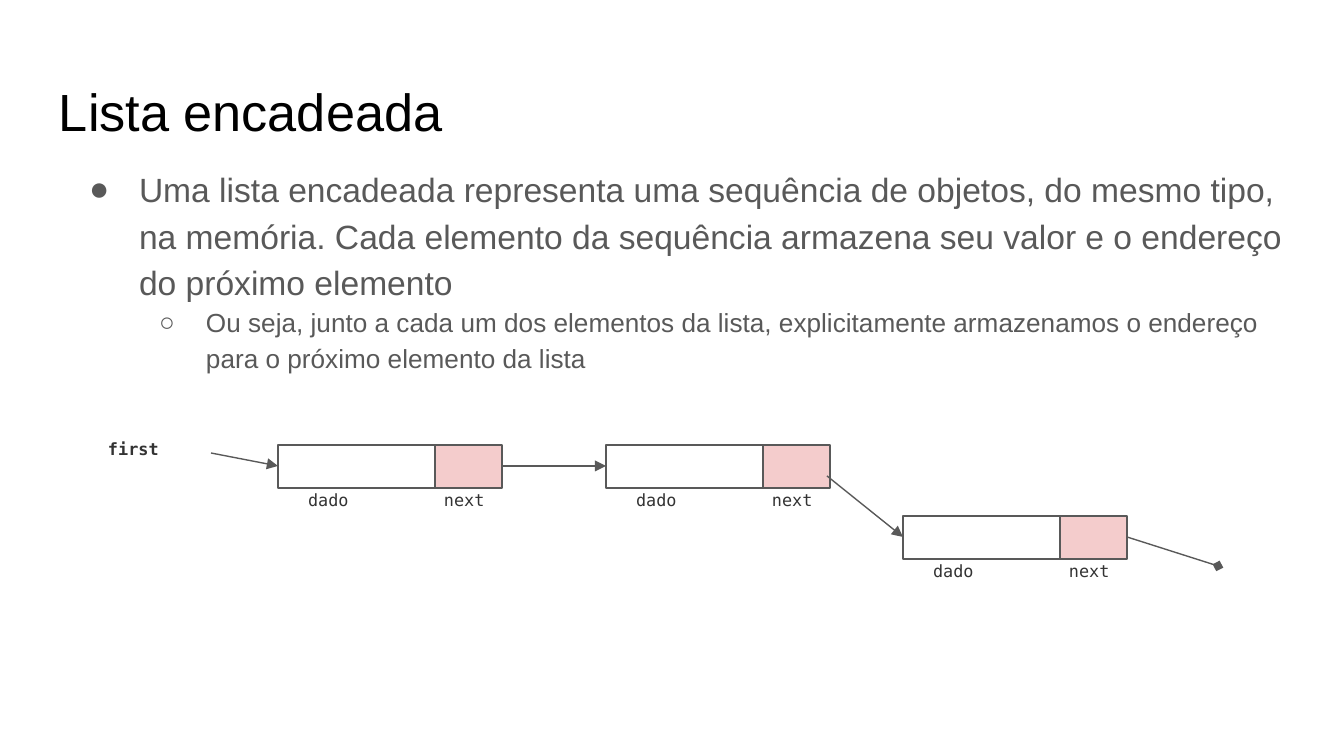
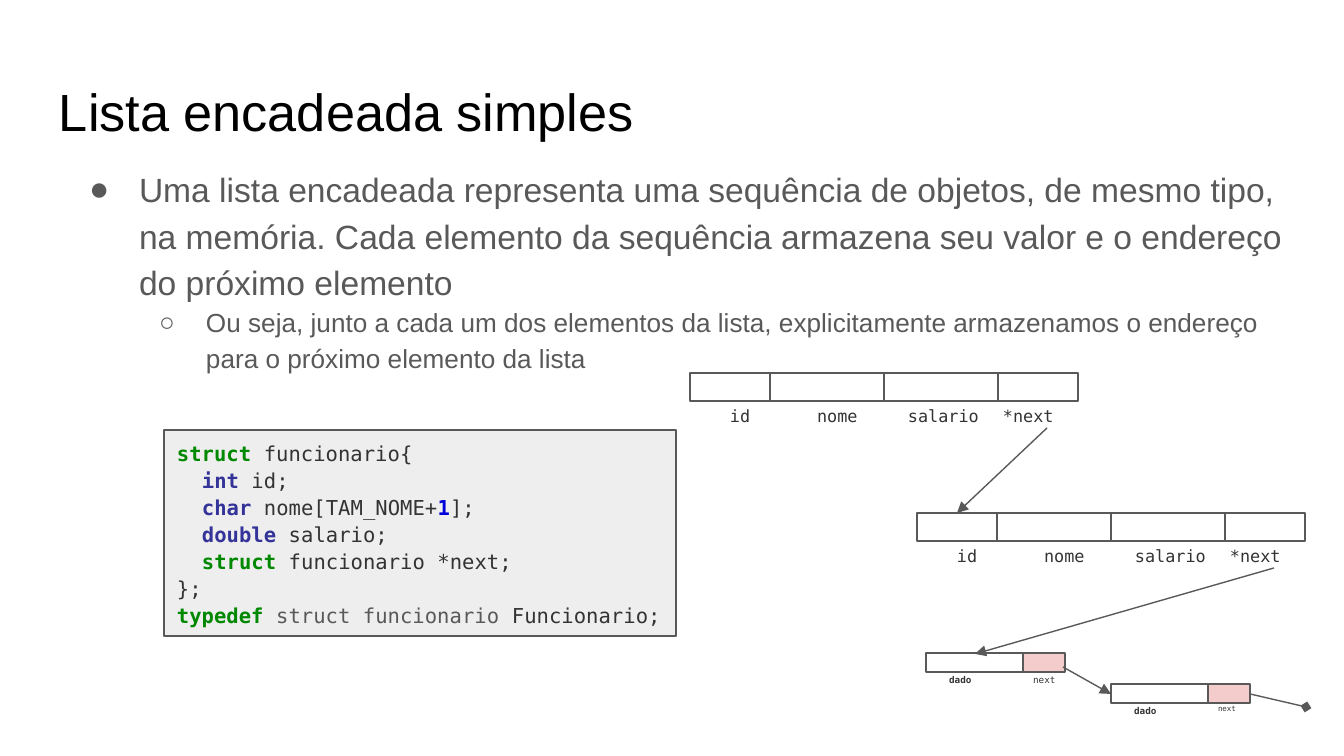
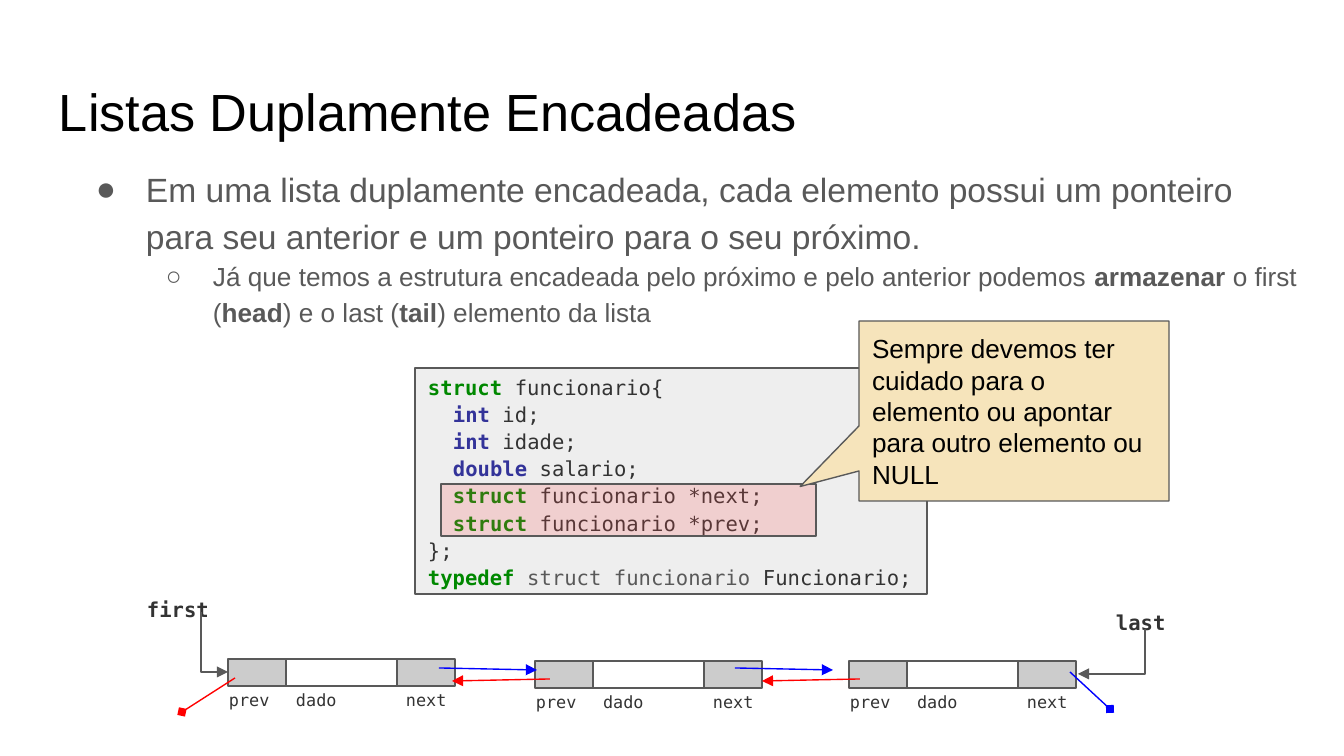
from lxml import etree
from pptx import Presentation
from pptx.dml.color import RGBColor
from pptx.enum.shapes import MSO_CONNECTOR, MSO_SHAPE
from pptx.enum.text import MSO_ANCHOR, MSO_AUTO_SIZE, PP_ALIGN
from pptx.oxml.ns import qn
from pptx.util import Pt

STRAIGHT, ELBOW = MSO_CONNECTOR.STRAIGHT, MSO_CONNECTOR.ELBOW
RECTANGLE, CALLOUT = MSO_SHAPE.RECTANGLE, MSO_SHAPE.RECTANGULAR_CALLOUT
TOP, MIDDLE = MSO_ANCHOR.TOP, MSO_ANCHOR.MIDDLE
LEFT, NO_FIT = PP_ALIGN.LEFT, MSO_AUTO_SIZE.NONE

# Shared look: lengths are pixels, 134.4 to the inch
SCALE = 914400 / 134.4
INSET = 13
SANS, MONO = "Arial", "DejaVu Sans Mono"
BLACK, GRAY, DARK = "000000", "595959", "333333"
PINK, SILVER, PALE, SAND = "F4CCCC", "CCCCCC", "EEEEEE", "F6E4BB"
BLUE, RED, ROSE = "0000FF", "FF0000", "FC4B4B"
color = RGBColor.from_string

# Text styles: colour and bold
PLAIN, STRONG, FADED = (DARK, False), (DARK, True), (GRAY, False)
KEYWORD, TYPE, NUMBER = ("008800", True), ("333399", True), ("0000DD", True)


def add_box(shapes, frame, lines=(), size=9, font=MONO, fill=None,
            outlined=False, preset=RECTANGLE, spacing=1.0):
    """Add a text box, or an outlined shape; a line is (indent, spans)."""
    frame = [round(length * SCALE) for length in frame]
    if outlined:
        box = shapes.add_shape(preset, *frame)
        box.shadow.inherit = False
        box.line.color.rgb = color(GRAY)
        box.line.width = Pt(0.75)
        if fill:
            box.fill.solid()
            box.fill.fore_color.rgb = color(fill)
        else:
            box.fill.background()
    else:
        box = shapes.add_textbox(*frame)
    text = box.text_frame
    text.word_wrap = True
    text.vertical_anchor = MIDDLE if outlined else TOP
    text.margin_left = text.margin_right = round(INSET * SCALE)
    text.margin_top = text.margin_bottom = round(INSET * SCALE)
    for number, (indent, spans) in enumerate(lines):
        para = text.add_paragraph() if number else text.paragraphs[0]
        para.alignment = LEFT
        para.line_spacing = spacing
        para.font.name, para.font.size = font, Pt(size)
        para._p.get_or_add_pPr().set("marL", str(round(indent * SCALE)))
        for words, (tint, bold) in spans:
            span = para.add_run()
            span.text = words
            span.font.color.rgb = color(tint)
            span.font.bold = bold
    return box


def add_arrow(page, start, end, tip="triangle", tint=GRAY, kind=STRAIGHT):
    """Add a line with a tip at its end; an elbow turns at its start."""
    points = [round(length * SCALE) for length in (*start, *end)]
    arrow = page.shapes.add_connector(kind, *points)
    arrow.line.color.rgb = color(tint)
    arrow.line.width = Pt(0.75)
    properties = arrow.element.spPr
    etree.SubElement(properties.find(qn("a:ln")), qn("a:tailEnd"), type=tip)
    etree.SubElement(properties, qn("a:effectLst"))
    if kind == ELBOW:
        guides = properties.find(qn("a:prstGeom")).get_or_add_avLst()
        etree.SubElement(guides, qn("a:gd"), name="adj1", fmla="val 0")


deck = Presentation()
deck.slide_width, deck.slide_height = round(1344 * SCALE), round(756 * SCALE)

# Titles and lists; *stars* mark bold words
SEQUENCE = ("Uma lista encadeada representa uma sequência de objetos, {} mesmo "
            "tipo, na memória. Cada elemento da sequência armazena seu valor e "
            "o endereço do próximo elemento")
ADDRESS = ("Ou seja, junto a cada um dos elementos da lista, explicitamente "
           "armazenamos o endereço para o próximo elemento da lista")
contents = [
    ("Lista encadeada", 59, [SEQUENCE.format("do"), ADDRESS]),
    ("Lista encadeada simples", 59, [SEQUENCE.format("de"), ADDRESS]),
    ("Listas Duplamente Encadeadas", 66, [
        "Em uma lista duplamente encadeada, cada elemento possui um ponteiro "
        "para seu anterior e um ponteiro para o seu próximo.",
        "Já que temos a estrutura encadeada pelo próximo e pelo anterior "
        "podemos *armazenar* o first (*head*) e o last (*tail*) elemento da "
        "lista"]),
]
# Size, left margin, hanging indent and bullet of each list level
levels = [(18, 67, 50, "●"), (14, 134, 47, "○")]

pages = []
for heading, body_left, items in contents:
    page = deck.slides.add_slide(deck.slide_layouts[1])
    pages.append(page)
    title, body = page.shapes.title, page.placeholders[1]
    for holder, frame in ((title, (46, 66, 1253, 84)),
                          (body, (body_left, 150, 1253, 502))):
        holder.left, holder.top, holder.width, holder.height = [
            round(length * SCALE) for length in frame]
        text = holder.text_frame
        text.auto_size = NO_FIT
        text.word_wrap = True
        text.vertical_anchor = TOP
        text.margin_left = text.margin_right = round(INSET * SCALE)
        text.margin_top = text.margin_bottom = round(INSET * SCALE)

    title.text_frame.text = heading
    para = title.text_frame.paragraphs[0]
    para.alignment = LEFT
    para.font.name, para.font.size = SANS, Pt(28)
    para.font.color.rgb = color(BLACK)

    for level, (item, style) in enumerate(zip(items, levels)):
        size, margin, hanging, bullet = style
        text = body.text_frame
        para = text.add_paragraph() if level else text.paragraphs[0]
        para.level = level
        para.line_spacing = 1.15
        para.space_before = Pt(0)
        properties = para._p.get_or_add_pPr()
        properties.set("marL", str(round(margin * SCALE)))
        properties.set("indent", str(round(-hanging * SCALE)))
        tint = etree.SubElement(properties, qn("a:buClr"))
        etree.SubElement(tint, qn("a:srgbClr"), val=GRAY)
        etree.SubElement(properties, qn("a:buChar"), char=bullet)
        para.font.name, para.font.size = SANS, Pt(size)
        para.font.color.rgb = color(GRAY)
        for number, words in enumerate(item.split("*")):
            span = para.add_run()
            span.text = words
            if number % 2:
                span.font.bold = True

single_page, record_page, double_page = pages

# Kinds of node: height, label drop, cells (width, fill),
# labels (text, offset, width, size, style)
SINGLE = (43, 35, [(157, None), (67, PINK)],
          [("dado", 17, 117, 9, PLAIN), ("next", 153, 80, 9, PLAIN)])
RECORD = (28, 23, [(80, None), (114, None), (114, None), (80, None)],
          [("id", 27, 48, 9, PLAIN), ("nome", 114, 74, 9, PLAIN),
           ("salario", 205, 102, 9, PLAIN), ("*next", 300, 113, 9, PLAIN)])
SMALL = (19, 16, [(97, None), (42, PINK)],
         [("dado", 10, 72, 5, STRONG), ("next", 94, 50, 5, PLAIN)])
SMALL_LAST = (*SMALL[:3], [SMALL[3][0], ("next", 94, 50, 4, PLAIN)])
DOUBLE = (27, 21, [(58, SILVER), (111, None), (58, SILVER)],
          [("prev", -12, 71, 9, PLAIN), ("dado", 55, 115, 9, PLAIN),
           ("next", 165, 71, 9, PLAIN)])

nodes = [
    (single_page, SINGLE, 278, 445), (single_page, SINGLE, 606, 445),
    (single_page, SINGLE, 903, 516),
    (record_page, RECORD, 690, 373), (record_page, RECORD, 917, 513),
    (record_page, SMALL, 926, 653), (record_page, SMALL_LAST, 1111, 684),
    (double_page, DOUBLE, 228, 659), (double_page, DOUBLE, 535, 661),
    (double_page, DOUBLE, 849, 661),
]
for page, (height, drop, cells, labels), left, top in nodes:
    node = page.shapes.add_group_shape().shapes
    cell_left = left
    for width, fill in cells:
        add_box(node, (cell_left, top, width, height), fill=fill, outlined=True)
        cell_left += width
    for words, offset, width, size, style in labels:
        add_box(node, (left + offset, top + drop, width, height),
                [(0, [(words, style)])], size)

# Names of the list ends
for page, words, frame, size in (
        (single_page, "first", (95, 429, 117, 50), 9),
        (double_page, "first", (134, 585, 134, 27), 11),
        (double_page, "last", (1103, 598, 112, 27), 11)):
    add_box(page.shapes, frame, [(0, [(words, STRONG)])], size)

# Arrows between nodes
add_arrow(single_page, (211, 453), (278, 466))
add_arrow(single_page, (502, 466), (606, 466))
add_arrow(single_page, (827, 476), (903, 537))
add_arrow(single_page, (1127, 537), (1218, 566), "diamond")

add_arrow(record_page, (1047, 428), (957, 513))
add_arrow(record_page, (1274, 568), (975, 654))
add_arrow(record_page, (1063, 667), (1111, 694))
add_arrow(record_page, (1250, 694), (1306, 707), "diamond")

for left in (439, 735):
    add_arrow(double_page, (left, 668), (left + 98, 670), tint=BLUE)
for left in (452, 762):
    add_arrow(double_page, (left + 98, 679), (left, 681), tint=RED)
add_arrow(double_page, (1070, 672), (1110, 709), "diamond", BLUE)
add_arrow(double_page, (235, 678), (182, 712), "diamond", RED)
add_arrow(double_page, (201, 612), (228, 672), kind=ELBOW)
add_arrow(double_page, (1145, 629), (1078, 674), kind=ELBOW)

# Code listings
STEP = 25
opening = [(0, [("struct", KEYWORD), (" funcionario{", PLAIN)])]
closing = [(0, [("};", PLAIN)]),
           (0, [("typedef ", KEYWORD), ("struct funcionario ", FADED),
                ("Funcionario;", PLAIN)])]
identity = (STEP, [("int", TYPE), (" id;", PLAIN)])
salary = (STEP, [("double", TYPE), (" salario;", PLAIN)])
following = (STEP, [("struct", KEYWORD), (" funcionario *next;", PLAIN)])
previous = (STEP, [("struct", KEYWORD), (" funcionario *prev;", PLAIN)])
name = (STEP, [("char", TYPE), (" nome[TAM_NOME+", PLAIN), ("1", NUMBER),
               ("];", PLAIN)])
age = (STEP, [("int", TYPE), (" idade;", PLAIN)])

for page, frame, members in (
        (record_page, (164, 430, 512, 206),
         [identity, name, salary, following]),
        (double_page, (415, 368, 512, 226),
         [identity, age, salary, following, previous])):
    add_box(page.shapes, frame, opening + members + closing, 11,
            fill=PALE, outlined=True, spacing=1.1)

# Highlight over the two pointers, and the warning
highlight = add_box(double_page.shapes, (441, 484, 375, 52), fill=ROSE,
                    outlined=True)
tint = highlight.element.spPr.find(qn("a:solidFill")).find(qn("a:srgbClr"))
etree.SubElement(tint, qn("a:alpha"), val="19000")

warning = ("Sempre devemos ter cuidado para o elemento ou apontar para outro "
           "elemento ou NULL")
callout = add_box(double_page.shapes, (859, 321, 310, 180),
                  [(0, [(warning, (BLACK, False))])], 14, SANS, SAND,
                  outlined=True, preset=CALLOUT)
callout.adjustments[0], callout.adjustments[1] = -0.69, 0.42

deck.save("out.pptx")
